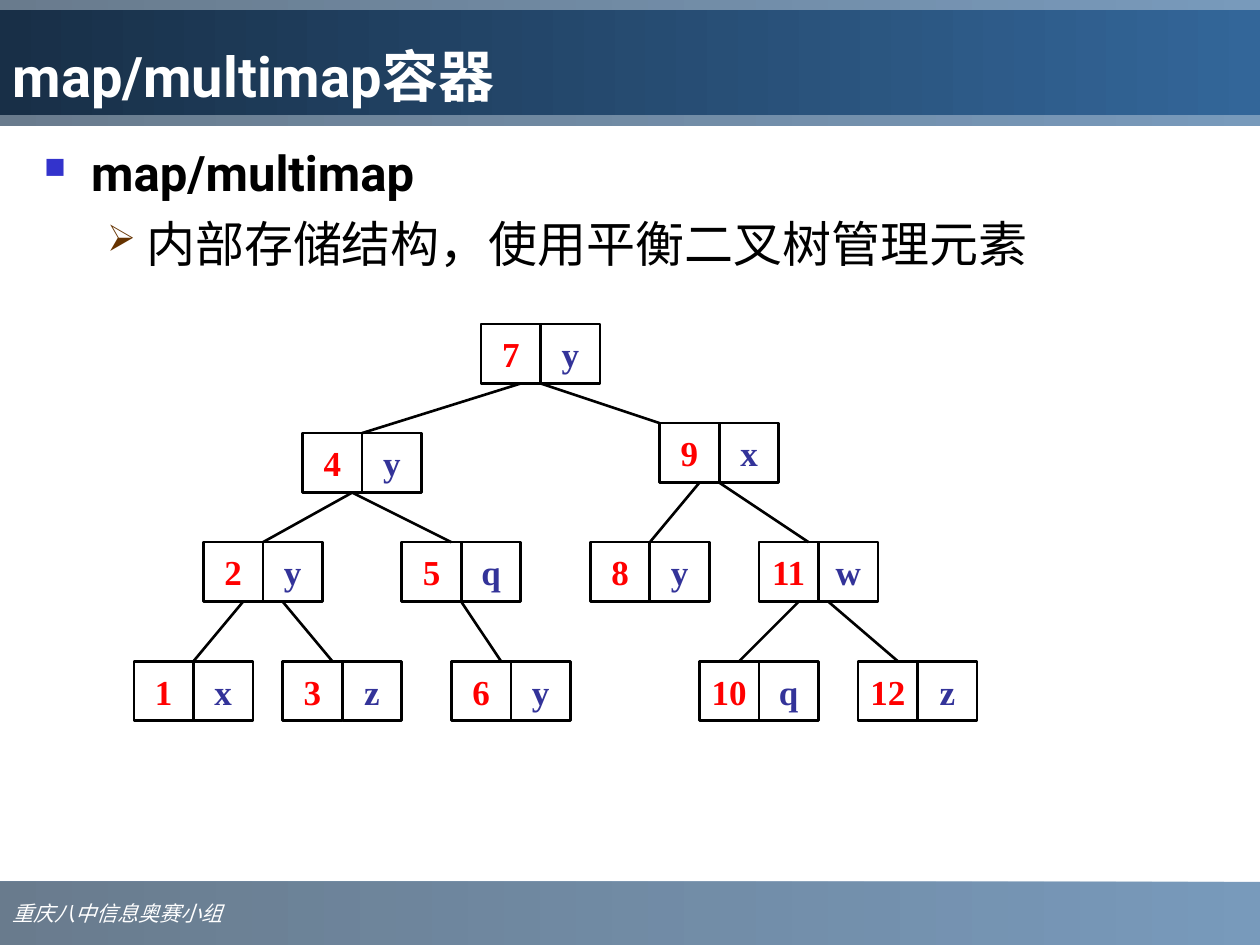
from dataclasses import dataclass

from lxml import etree
from pptx import Presentation
from pptx.dml.color import RGBColor
from pptx.enum.shapes import MSO_CONNECTOR, MSO_SHAPE
from pptx.enum.text import MSO_ANCHOR, MSO_AUTO_SIZE, PP_ALIGN
from pptx.oxml.ns import qn
from pptx.util import Cm, Pt

RECT = MSO_SHAPE.RECTANGLE
LINE = MSO_CONNECTOR.STRAIGHT
LEFT, CENTER = PP_ALIGN.LEFT, PP_ALIGN.CENTER
MIDDLE, BOTTOM = MSO_ANCHOR.MIDDLE, MSO_ANCHOR.BOTTOM
FIXED = MSO_AUTO_SIZE.NONE


@dataclass(frozen=True)
class Theme:
    white: str = "FFFFFF"
    black: str = "000000"
    light: str = "336699"
    dark: str = "182F47"
    band: str = "1C3853"
    key: str = "FF0000"
    value: str = "333399"
    square: str = "3333CC"
    arrow: str = "663300"
    head: str = "Roboto"
    serif: str = "Times New Roman"
    sans: str = "Arial"
    title: int = 32
    body: int = 28
    cell: int = 20
    foot: int = 12
    stroke: float = 1.5


THEME = Theme()
WIDTH, HEIGHT = 25.4, 19.05
CELL = 1.2

NODES = {
    "7": ("y", 9.7, 6.53),
    "4": ("y", 6.1, 8.73),
    "9": ("x", 13.3, 8.53),
    "2": ("y", 4.1, 10.93),
    "5": ("q", 8.1, 10.93),
    "8": ("y", 11.9, 10.93),
    "11": ("w", 15.3, 10.93),
    "1": ("x", 2.7, 13.33),
    "3": ("z", 5.7, 13.33),
    "6": ("y", 9.1, 13.33),
    "10": ("q", 14.1, 13.33),
    "12": ("z", 17.3, 13.33),
}

EDGES = [
    ("7", 0.8, "4", 1.2),
    ("7", 1.2, "9", 0),
    ("4", 1, "2", 1.2),
    ("4", 1, "5", 1),
    ("9", 0.8, "8", 1.2),
    ("9", 1.2, "11", 1),
    ("2", 0.8, "1", 1.2),
    ("2", 1.6, "3", 1),
    ("5", 1.2, "6", 1),
    ("11", 0.8, "10", 0.8),
    ("11", 1.4, "12", 0.8),
]


def color(code):
    return RGBColor.from_string(code)


def apply(item, values):
    for name, value in values.items():
        setattr(item, name, value)


def write(para, text, face, size, tint, bold=False, slant=False):
    run = para.add_run()
    run.text = text
    apply(run.font, dict(name=face, size=Pt(size), bold=bold, italic=slant))
    run.font.color.rgb = color(tint)


def shade(shape, end):
    shape.fill.gradient()
    shape.fill.gradient_angle = 180
    for stop, tint in zip(shape.fill.gradient_stops, (THEME.light, end)):
        stop.color.rgb = color(tint)
    shape.line.fill.background()


def add_band(slide, top, height):
    band = slide.shapes.add_shape(RECT, 0, Cm(top), Cm(WIDTH), Cm(height))
    band.shadow.inherit = False
    shade(band, THEME.band)
    for tint in band.element.spPr.iter(qn("a:srgbClr")):
        etree.SubElement(tint, qn("a:alpha"), val="66000")
    return band


def add_foot(slide, text):
    frame = add_band(slide, 17.78, 1.27).text_frame
    apply(frame, dict(word_wrap=False, vertical_anchor=MIDDLE))
    para = frame.paragraphs[0]
    para.alignment = LEFT
    write(para, text, THEME.sans, THEME.foot, THEME.white, slant=True)


def set_title(slide, text):
    title = slide.shapes.title
    apply(title, dict(left=0, top=Cm(0.21), width=Cm(WIDTH), height=Cm(2.11)))
    shade(title, THEME.dark)
    frame = title.text_frame
    apply(frame, dict(auto_size=FIXED, word_wrap=True, vertical_anchor=BOTTOM))
    para = frame.paragraphs[0]
    para.alignment = LEFT
    write(para, text, THEME.head, THEME.title, THEME.white, bold=True)
    slide.shapes.element.append(title.element)


def add_mark(para, mark, tint, scale, left, hang):
    props = para._p.get_or_add_pPr()
    props.set("marL", str(Cm(left)))
    props.set("indent", str(-Cm(hang)))
    shade = etree.SubElement(props, qn("a:buClr"))
    etree.SubElement(shade, qn("a:srgbClr"), val=tint)
    etree.SubElement(props, qn("a:buSzPct"), val=str(scale * 1000))
    etree.SubElement(props, qn("a:buChar"), char=mark)


def add_body(slide):
    box = slide.shapes.add_textbox(Cm(0.64), Cm(2.75), Cm(23.93), Cm(14.8))
    frame = box.text_frame
    frame.word_wrap = True
    first = frame.paragraphs[0]
    add_mark(first, "■", THEME.square, 60, 0.95, 0.95)
    write(first, "map/multimap", THEME.head, THEME.body, THEME.black, bold=True)
    second = frame.add_paragraph()
    apply(second, dict(level=1, space_before=Pt(7)))
    add_mark(second, "➢", THEME.arrow, 75, 2.06, 0.79)
    write(second, "内部存储结构，使用平衡二叉树管理元素",
          THEME.head, THEME.body, THEME.black)


def add_cell(slide, text, left, top, tint):
    cell = slide.shapes.add_shape(RECT, Cm(left), Cm(top), Cm(CELL), Cm(CELL))
    cell.shadow.inherit = False
    cell.fill.solid()
    cell.fill.fore_color.rgb = color(THEME.white)
    cell.line.color.rgb = color(THEME.black)
    cell.line.width = Pt(THEME.stroke)
    frame = cell.text_frame
    apply(frame, dict(margin_left=0, margin_top=0, margin_right=0,
                      margin_bottom=0, word_wrap=False,
                      vertical_anchor=MIDDLE))
    para = frame.paragraphs[0]
    para.alignment = CENTER
    write(para, text, THEME.serif, THEME.cell, tint, bold=True)


def add_node(slide, key, value, left, top):
    add_cell(slide, key, left, top, THEME.key)
    add_cell(slide, value, left + CELL, top, THEME.value)


def add_edge(slide, upper, start, lower, end):
    _, left, top = NODES[upper]
    _, right, base = NODES[lower]
    edge = slide.shapes.add_connector(
        LINE, Cm(left + start), Cm(top + CELL), Cm(right + end), Cm(base))
    edge.line.color.rgb = color(THEME.black)
    edge.line.width = Pt(THEME.stroke)
    etree.SubElement(edge.element.spPr, qn("a:effectLst"))


def main():
    deck = Presentation()
    apply(deck, dict(slide_width=Cm(WIDTH), slide_height=Cm(HEIGHT)))
    slide = deck.slides.add_slide(deck.slide_layouts[5])
    add_foot(slide, "重庆八中信息奥赛小组")
    add_band(slide, 0, 2.54)
    set_title(slide, "map/multimap容器")
    add_body(slide)
    for key, node in NODES.items():
        add_node(slide, key, *node)
    for edge in EDGES:
        add_edge(slide, *edge)
    deck.save("out.pptx")


if __name__ == "__main__":
    main()
